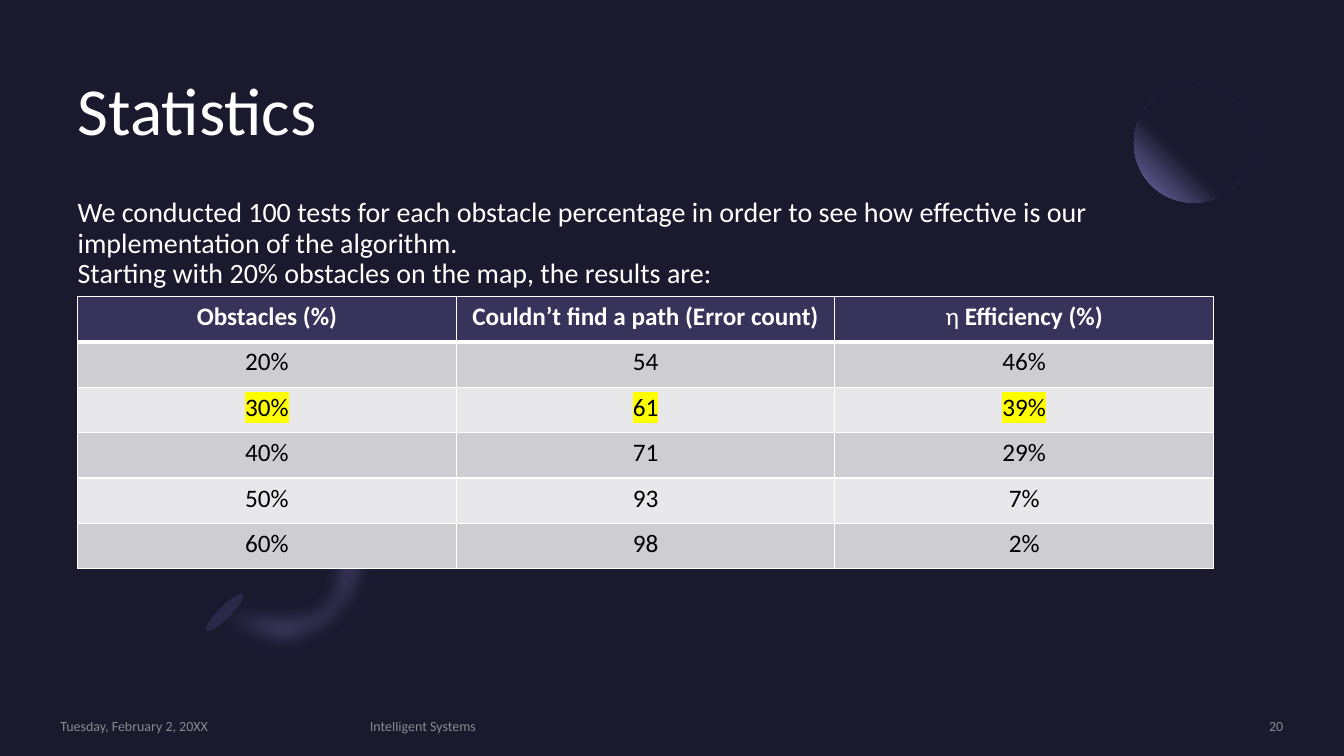
from lxml.etree import SubElement
from pptx import Presentation
from pptx.dml.color import RGBColor
from pptx.enum.shapes import MSO_SHAPE
from pptx.enum.text import MSO_ANCHOR, MSO_AUTO_SIZE, PP_ALIGN
from pptx.oxml import parse_xml
from pptx.oxml.ns import qn
from pptx.util import Pt

NS = 'xmlns:a="http://schemas.openxmlformats.org/drawingml/2006/main"'
FONT = "Calibri"
NIGHT, WHITE, BLACK = "1B192E", "FFFFFF", "000000"
PURPLE, INDIGO, HEADER = "7771B2", "2C284A", "37335B"
BANDS = ("CECED2", "E8E8EA")
GREY, YELLOW = "A6A6A6", "FFFF00"
LEFT = 55.44

HEADINGS = [
    [("Obstacles (%)", True)],
    [("Couldn’t find a path (Error count)", True)],
    [("η ", False), ("Efficiency (%)", True)],
]
RESULTS = [
    ("20%", "54", "46%"),
    ("30%", "61", "39%"),
    ("40%", "71", "29%"),
    ("50%", "93", "7%"),
    ("60%", "98", "2%"),
]
HIGHLIGHTED = "30%"
FOOTERS = [
    ("Tuesday, February 2, 20XX", 43.2, 207.36, PP_ALIGN.LEFT),
    ("Intelligent Systems", 264.24, 502.56, PP_ALIGN.LEFT),
    ("20", 783.36, 133.2, PP_ALIGN.RIGHT),
]
RING_START = (3.49, 6.26)
RING_OUTER = [
    ((3.89, 5.86), (3.83, 5.16), (3.36, 4.7)),
]
RING_INNER = [
    ((3.24, 5.29), (3.27, 5.64), (3.07, 5.84)),
    ((2.87, 6.03), (2.52, 6.01), (2.29, 5.77)),
]
RING_CLOSE = [((2.39, 6.6), (3.09, 6.65), RING_START)]


def paint(fill, color, opacity=100):
    fill.solid()
    fill.fore_color.rgb = RGBColor.from_string(color)
    if opacity < 100:
        clr = fill._xPr.find(qn("a:solidFill"))[0]
        SubElement(clr, qn("a:alpha"), val=str(opacity * 1000))


def add_run(p, text, size, color, bold=False, opacity=100, highlight=None):
    r = p.add_run()
    r.text = text
    r.font.size, r.font.name, r.font.bold = Pt(size), FONT, bold
    paint(r.font.fill, color, opacity)
    if highlight:
        r.font._element.find(qn("a:solidFill")).addnext(parse_xml(
            f'<a:highlight {NS}><a:srgbClr val="{highlight}"/></a:highlight>'))


def setup_frame(sp, anchor=MSO_ANCHOR.TOP):
    tf = sp.text_frame
    tf.word_wrap, tf.auto_size = True, MSO_AUTO_SIZE.NONE
    tf.vertical_anchor = anchor
    tf.margin_left = tf.margin_right = tf.margin_top = tf.margin_bottom = 0
    return tf.paragraphs[0]


def add_title(s, text):
    sp = s.shapes.title
    sp.left, sp.top, sp.width, sp.height = Pt(LEFT), Pt(55.44), Pt(652.32), Pt(98.64)
    p = setup_frame(sp)
    p.alignment, p.line_spacing = PP_ALIGN.LEFT, 0.9
    add_run(p, text, 48, WHITE)


def add_intro(s, lines):
    sp = s.shapes.add_textbox(Pt(LEFT), Pt(141.84), Pt(828.72), Pt(294.48))
    p = setup_frame(sp)
    p.line_spacing = 0.9
    for i, line in enumerate(lines):
        if i:
            p.add_line_break()
        add_run(p, line, 20, WHITE)


def add_footer(s, text, left, width, align):
    sp = s.shapes.add_textbox(Pt(left), Pt(512.64), Pt(width), Pt(12.24))
    p = setup_frame(sp, MSO_ANCHOR.MIDDLE)
    p.alignment = align
    add_run(p, text, 10, GREY, opacity=80)


def add_ellipse(s, left, top, width, height, color, rotation=0):
    sp = s.shapes.add_shape(MSO_SHAPE.OVAL, Pt(left), Pt(top), Pt(width), Pt(height))
    sp.rotation = rotation
    sp.shadow.inherit = False
    sp.line.fill.background()
    paint(sp.fill, color)
    return sp


def add_moon(s):
    sp = add_ellipse(s, 810, 59.76, 84.96, 84.96, NIGHT)
    pr = sp._element.spPr
    pr.replace(pr.find(qn("a:solidFill")), parse_xml(
        f'<a:gradFill {NS}><a:gsLst>'
        f'<a:gs pos="60000"><a:srgbClr val="{NIGHT}"/></a:gs>'
        f'<a:gs pos="100000"><a:srgbClr val="{PURPLE}"/></a:gs></a:gsLst>'
        '<a:path path="circle"><a:fillToRect l="100000" b="100000"/></a:path>'
        '</a:gradFill>'))


def curve_points(start, curves, steps=16):
    points = []
    for c1, c2, end in curves:
        for i in range(1, steps + 1):
            t = i / steps
            weights = ((1 - t) ** 3, 3 * t * (1 - t) ** 2, 3 * t * t * (1 - t), t ** 3)
            points.append(tuple(
                sum(w * pt[axis] for w, pt in zip(weights, (start, c1, c2, end)))
                for axis in (0, 1)))
        start = end
    return points


def add_ring(s):
    inner_start, outer_end = (3, 5.05), (1.93, 6.13)
    points = (curve_points(RING_START, RING_OUTER) + [inner_start]
              + curve_points(inner_start, RING_INNER) + [outer_end]
              + curve_points(outer_end, RING_CLOSE))
    scaled = [(x * 72, y * 72) for x, y in points]
    fb = s.shapes.build_freeform(RING_START[0] * 72, RING_START[1] * 72, scale=Pt(1))
    fb.add_line_segments(scaled, close=True)
    sp = fb.convert_to_shape()
    sp.shadow.inherit = False
    sp.line.fill.background()
    paint(sp.fill, PURPLE, 40)
    effects = sp._element.spPr.find(qn("a:effectLst"))
    SubElement(effects, qn("a:softEdge"), rad=str(Pt(13)))


def set_borders(cell, top, bottom):
    pr = cell._tc.get_or_add_tcPr()
    for side, width in (("L", 1), ("R", 1), ("T", top), ("B", bottom)):
        pr.append(parse_xml(
            f'<a:ln{side} {NS} w="{Pt(width)}"><a:solidFill>'
            f'<a:srgbClr val="{WHITE}"/></a:solidFill></a:ln{side}>'))


def fill_cell(cell, runs, row, color, fill, highlight=None):
    set_borders(cell, 3 if row == 1 else 1, 3 if row == 0 else 1)
    paint(cell.fill, fill)
    p = cell.text_frame.paragraphs[0]
    p.alignment = PP_ALIGN.CENTER
    for text, bold in runs:
        add_run(p, text, 18, color, bold, highlight=highlight)


def add_results(s):
    rows, cols = len(RESULTS) + 1, len(HEADINGS)
    table = s.shapes.add_table(rows, cols, Pt(LEFT), Pt(211.68),
                               Pt(811.44), Pt(32.45 * rows)).table
    for col, runs in enumerate(HEADINGS):
        fill_cell(table.cell(0, col), runs, 0, WHITE, HEADER)
    for row, values in enumerate(RESULTS, 1):
        highlight = YELLOW if values[0] == HIGHLIGHTED else None
        for col, value in enumerate(values):
            fill_cell(table.cell(row, col), [(value, False)], row, BLACK,
                      BANDS[(row - 1) % 2], highlight)


def main():
    prs = Presentation()
    prs.slide_width, prs.slide_height = Pt(960), Pt(540)
    s = prs.slides.add_slide(prs.slide_layouts[5])
    paint(s.background.fill, NIGHT)
    add_moon(s)
    add_ring(s)
    add_ellipse(s, 156.24, 419.04, 8.64, 36.72, INDIGO, 45)
    add_title(s, "Statistics")
    add_intro(s, [
        "We conducted 100 tests for each obstacle percentage in order to see "
        "how effective is our implementation of the algorithm.",
        "Starting with 20% obstacles on the map, the results are:",
    ])
    for footer in FOOTERS:
        add_footer(s, *footer)
    add_results(s)
    prs.save("out.pptx")


if __name__ == "__main__":
    main()
